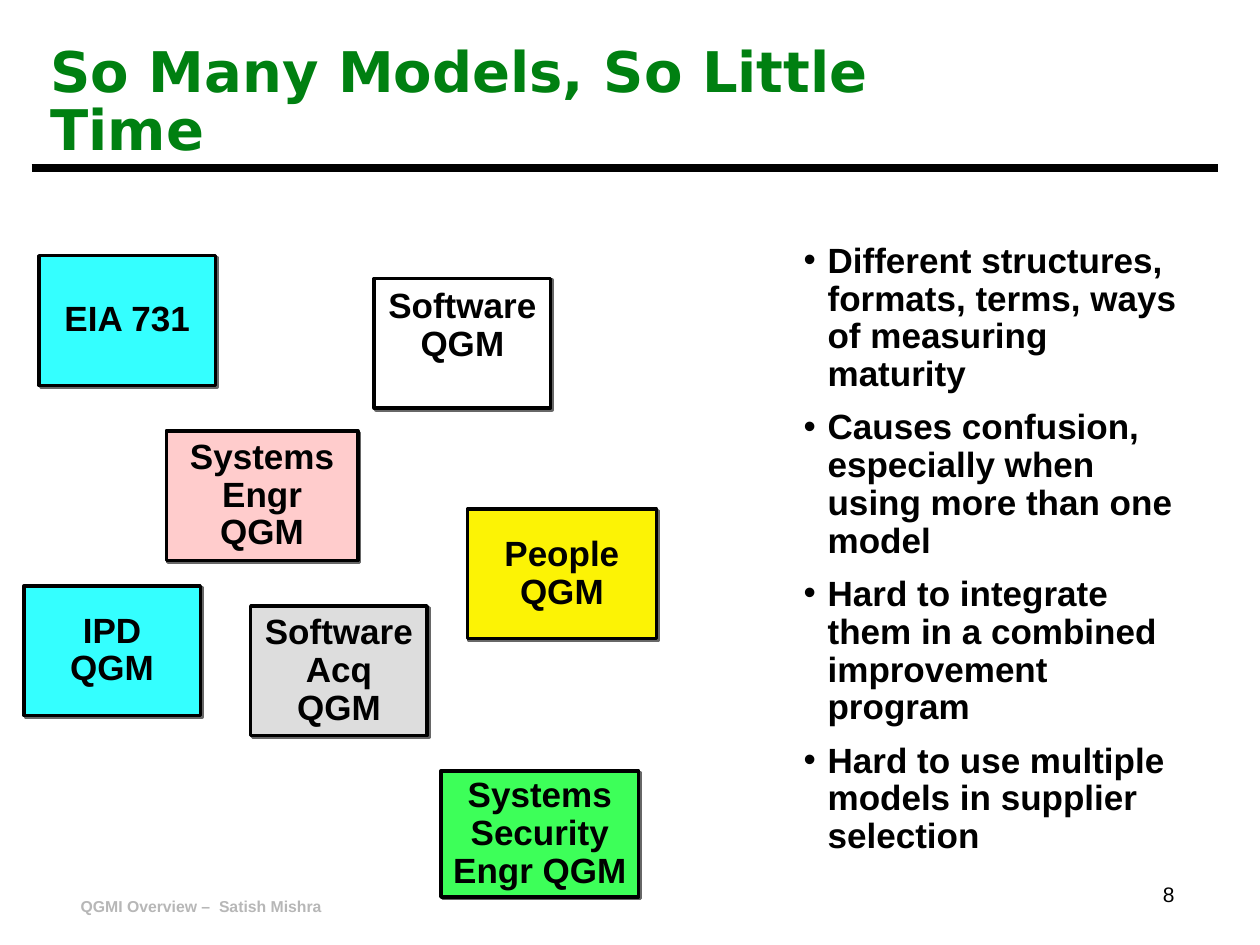
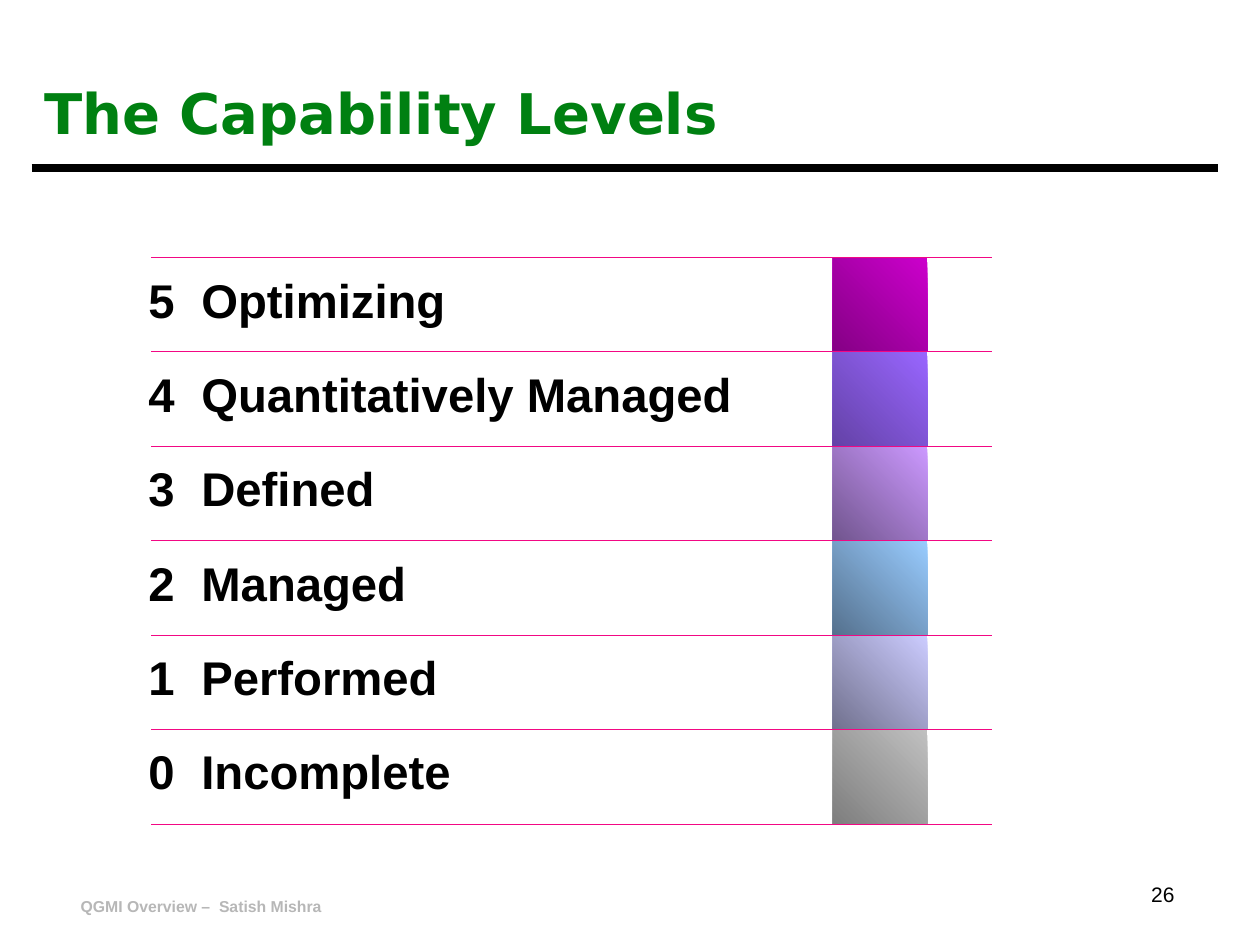
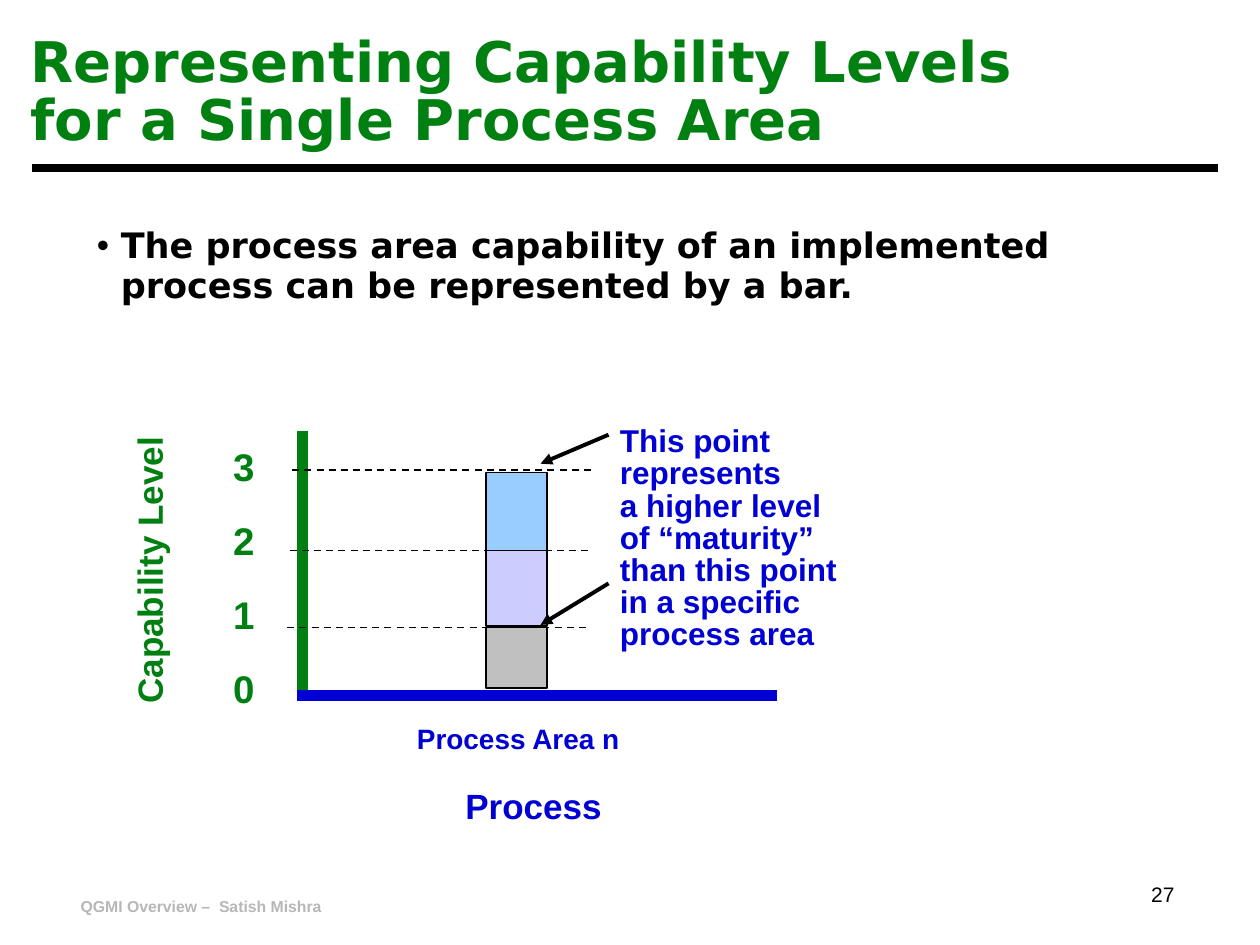
from lxml.etree import SubElement
from pptx import Presentation
from pptx.dml.color import RGBColor
from pptx.enum.dml import MSO_LINE
from pptx.enum.shapes import MSO_CONNECTOR, MSO_SHAPE
from pptx.enum.text import MSO_ANCHOR, MSO_AUTO_SIZE, PP_ALIGN
from pptx.oxml.ns import qn
from pptx.util import Inches, Pt

BLACK = RGBColor(0x00, 0x00, 0x00)
WHITE = RGBColor(0xFF, 0xFF, 0xFF)
GREEN = RGBColor(0x00, 0x80, 0x11)
BLUE = RGBColor(0x00, 0x00, 0xD4)
PINK = RGBColor(0xF2, 0x08, 0x84)
FOOTER_GRAY = RGBColor(0xB7, 0xB7, 0xB7)
CYAN = RGBColor(0x34, 0xFF, 0xFF)
ROSE = RGBColor(0xFF, 0xCC, 0xCC)
YELLOW = RGBColor(0xFC, 0xF3, 0x05)
LIGHT_GRAY = RGBColor(0xDD, 0xDD, 0xDD)
BRIGHT_GREEN = RGBColor(0x3D, 0xFF, 0x59)
SILVER = RGBColor(0xC0, 0xC0, 0xC0)
LAVENDER = RGBColor(0xCC, 0xCC, 0xFF)
SKY = RGBColor(0x99, 0xCC, 0xFF)

BODY_FONT = "Arial"
TITLE_FONT = "DejaVu Sans"
TITLE_ONLY = 5

MODELS = [
    (2.97, 2.21, 1.4, 1.03, WHITE, ["Software", "QGM"]),
    (3.5, 6.12, 1.57, 1, BRIGHT_GREEN, ["Systems", "Security", "Engr QGM"]),
    (1.32, 3.42, 1.52, 1.03, ROSE, ["Systems", "Engr", "QGM"]),
    (3.71, 4.04, 1.5, 1.03, YELLOW, ["People", "QGM"]),
    (0.19, 4.65, 1.4, 1.03, CYAN, ["IPD", "QGM"]),
    (1.99, 4.81, 1.4, 1.03, LIGHT_GRAY, ["Software", "Acq", "QGM"]),
    (0.31, 2.03, 1.4, 1.03, CYAN, ["EIA 731"]),
]
PROBLEMS = [
    "Different structures, formats, terms, ways of measuring maturity",
    "Causes confusion, especially when using more than one model",
    "Hard to integrate them in a combined improvement program",
    "Hard to use multiple models in supplier selection",
]
LEVELS = [
    ("Optimizing", RGBColor(0xCC, 0x00, 0xCC), RGBColor(0x85, 0x00, 0x85)),
    ("Quantitatively Managed", RGBColor(0x99, 0x66, 0xFF), RGBColor(0x64, 0x42, 0xA7)),
    ("Defined", RGBColor(0xCC, 0x99, 0xFF), RGBColor(0x71, 0x55, 0x8E)),
    ("Managed", SKY, RGBColor(0x55, 0x71, 0x8E)),
    ("Performed", LAVENDER, RGBColor(0x71, 0x71, 0x8E)),
    ("Incomplete", SILVER, RGBColor(0x7E, 0x7E, 0x7E)),
]


def set_attributes(target, values):
    for name, value in values.items():
        setattr(target, name, value)


def fill_text(frame, lines, size, color=BLACK, font=BODY_FONT, bold=True,
              insets=(0.1, 0.05), wrap=True, anchor=MSO_ANCHOR.TOP, **paragraph_format):
    horizontal, vertical = map(Inches, insets)
    set_attributes(frame, {
        "word_wrap": wrap, "auto_size": MSO_AUTO_SIZE.NONE, "vertical_anchor": anchor,
        "margin_left": horizontal, "margin_right": horizontal,
        "margin_top": vertical, "margin_bottom": vertical,
    })
    for index, line in enumerate(lines):
        paragraph = frame.paragraphs[0] if index == 0 else frame.add_paragraph()
        paragraph.text = line
        set_attributes(paragraph, {"alignment": PP_ALIGN.LEFT, **paragraph_format})
        for run in paragraph.runs:
            set_attributes(run.font, {"name": font, "size": Pt(size), "bold": bold})
            run.font.color.rgb = color


def add_text(slide, left, top, width, height, lines, size, **options):
    box = slide.shapes.add_textbox(*map(Inches, (left, top, width, height)))
    fill_text(box.text_frame, lines, size, **options)
    return box


def add_bullets(box):
    for paragraph in box.text_frame.paragraphs:
        properties = paragraph._p.get_or_add_pPr()
        properties.set("marL", str(Inches(0.19)))
        properties.set("indent", str(-Inches(0.19)))
        bullet_color = SubElement(properties, qn("a:buClr"))
        SubElement(bullet_color, qn("a:srgbClr"), val=str(BLACK))
        SubElement(properties, qn("a:buFont"), typeface=BODY_FONT)
        SubElement(properties, qn("a:buChar"), char="•")


def add_tab_stop(box, position):
    for paragraph in box.text_frame.paragraphs:
        tabs = SubElement(paragraph._p.get_or_add_pPr(), qn("a:tabLst"))
        SubElement(tabs, qn("a:tab"), pos=str(Inches(position)), algn="l")


def add_line(slide, start, end, color, width, dash=None, arrow=False):
    line = slide.shapes.add_connector(
        MSO_CONNECTOR.STRAIGHT, *map(Inches, (*start, *end)))
    line.line.color.rgb = color
    set_attributes(line.line, {"width": Pt(width), "dash_style": dash})
    if arrow:
        SubElement(line.line._get_or_add_ln(), qn("a:tailEnd"), type="triangle")
    SubElement(line._element.spPr, qn("a:effectLst"))


def add_rectangle(slide, left, top, width, height, color=None, line_width=None):
    shape = slide.shapes.add_shape(
        MSO_SHAPE.RECTANGLE, *map(Inches, (left, top, width, height)))
    shape.shadow.inherit = False
    if color is not None:
        shape.fill.solid()
        shape.fill.fore_color.rgb = color
    if line_width:
        shape.line.color.rgb = BLACK
        shape.line.width = Pt(line_width)
    else:
        shape.line.fill.background()
    return shape


def add_model_box(slide, left, top, width, height, color, lines):
    shape = add_rectangle(slide, left, top, width, height, color, 2)
    effects = shape._element.spPr.find(qn("a:effectLst"))
    shadow = SubElement(effects, qn("a:outerShdw"), dist=str(Pt(1.4)),
                        dir="2700000", algn="tl", rotWithShape="0")
    SubElement(shadow, qn("a:srgbClr"), val="676767")
    raised = color == WHITE
    fill_text(shape.text_frame, lines, 20, wrap=False,
              insets=(0.1, 0.08 if raised else 0.05),
              anchor=MSO_ANCHOR.TOP if raised else MSO_ANCHOR.MIDDLE,
              alignment=PP_ALIGN.CENTER, line_spacing=0.9)


def add_level_block(slide, left, top, size, light, dark):
    block = add_rectangle(slide, left, top, size, size)
    block.fill.gradient()
    block.fill.gradient_angle = 225
    for stop, color in zip(block.fill.gradient_stops, (light, dark)):
        stop.color.rgb = color


def add_slide(presentation, title, position, number, **title_options):
    slide = presentation.slides.add_slide(presentation.slide_layouts[TITLE_ONLY])
    names = ("left", "top", "width", "height")
    set_attributes(slide.shapes.title, dict(zip(names, map(Inches, position))))
    title_format = {"insets": (0.07, 0.03), "line_spacing": 0.87, **title_options}
    fill_text(slide.shapes.title.text_frame, [title], 32, color=GREEN,
              font=TITLE_FONT, **title_format)
    add_line(slide, (0.25, 1.33), (9.67, 1.33), BLACK, 4.5)
    add_text(slide, 0.55, 7.07, 2.09, 0.24, ["QGMI Overview –  Satish Mishra"], 9,
             color=FOOTER_GRAY, insets=(0.09, 0.05), wrap=False)
    add_text(slide, 7.34, 6.97, 2.08, 0.36, [str(number)], 12, bold=False,
             alignment=PP_ALIGN.RIGHT, line_spacing=0.9)
    return slide


def build_models_slide(presentation):
    slide = add_slide(presentation, "So Many Models, So Little Time",
                      (0.33, 0.33, 7.85, 0.98), 8)
    for model in MODELS:
        add_model_box(slide, *model)
    problems = add_text(slide, 6.28, 1.88, 3.25, 4.97, PROBLEMS, 20,
                        line_spacing=0.9, space_after=Pt(8.8))
    add_bullets(problems)


def build_levels_slide(presentation):
    slide = add_slide(presentation, "The Capability Levels", (0.25, 0.58, 8.43, 0.69), 26,
                      insets=(0.1, 0.05), line_spacing=0.9, anchor=MSO_ANCHOR.MIDDLE)
    top, pitch = 2.04, 0.75
    for index, (name, light, dark) in enumerate(LEVELS):
        add_level_block(slide, 6.61, top + index * pitch, pitch, light, dark)
    lines = [f"{5 - index}\t{level[0]}" for index, level in enumerate(LEVELS)]
    labels = add_text(slide, 1.08, 2.18, 7.04, 4.77, lines, 27,
                      line_spacing=0.83, space_after=Pt(26.9))
    add_tab_stop(labels, 0.42)
    for index in range(len(LEVELS) + 1):
        height = top + index * pitch
        add_line(slide, (1.2, height), (7.87, height), PINK, 0.5)


def build_bar_slide(presentation):
    slide = add_slide(presentation, "Representing Capability Levels for a Single Process Area",
                      (0.17, 0.25, 8.65, 0.98), 27)
    statement = add_text(
        slide, 0.67, 1.75, 8.58, 4.58,
        ["The process area capability of an implemented process can be represented by a bar."],
        20, font=TITLE_FONT, line_spacing=0.95)
    add_bullets(statement)
    for top, height, color in ((4.98, 0.48, SILVER), (4.37, 0.6, LAVENDER), (3.75, 0.62, SKY)):
        add_rectangle(slide, 3.86, top, 0.48, height, color, 1)

    label_format = {"insets": (0.11, 0.06), "wrap": False}
    add_text(slide, 3.58, 6.22, 1.31, 0.4, ["Process"], 20, color=BLUE,
             alignment=PP_ALIGN.CENTER, line_spacing=0.85, **label_format)
    axis_title = add_text(slide, 0.01, 4.3, 2.34, 0.45, ["Capability Level"], 20,
                          color=GREEN, **label_format)
    axis_title.rotation = 270
    add_line(slide, (2.4, 3.42), (2.4, 5.55), GREEN, 6)
    add_line(slide, (2.36, 5.52), (6.17, 5.52), BLUE, 6)
    for left, height in ((2.28, 4.98), (2.3, 4.37), (2.32, 3.73)):
        add_line(slide, (left, height), (left + 2.4, height), BLACK, 1, dash=MSO_LINE.DASH)
    add_text(slide, 4.81, 3.33, 1.95, 1.9,
             ["This point", "represents", "a higher level", "of “maturity”",
              "than this point", "in a specific", "process area"],
             18, color=BLUE, line_spacing=0.85, **label_format)
    for start, end in ((3.45, 3.68), (4.63, 4.96)):
        add_line(slide, (4.83, start), (4.29, end), BLACK, 2.25, arrow=True)
    add_text(slide, 1.74, 3.24, 0.39, 2.46, ["3", "2", "1", "0"], 22, color=GREEN,
             line_spacing=1.6, **label_format)
    add_text(slide, 3.2, 5.67, 1.84, 0.38, ["Process Area n"], 16, color=BLUE, **label_format)


def main():
    presentation = Presentation()
    set_attributes(presentation, {"slide_width": Inches(10), "slide_height": Inches(7.5)})
    build_models_slide(presentation)
    build_levels_slide(presentation)
    build_bar_slide(presentation)
    presentation.save("out.pptx")


if __name__ == "__main__":
    main()
